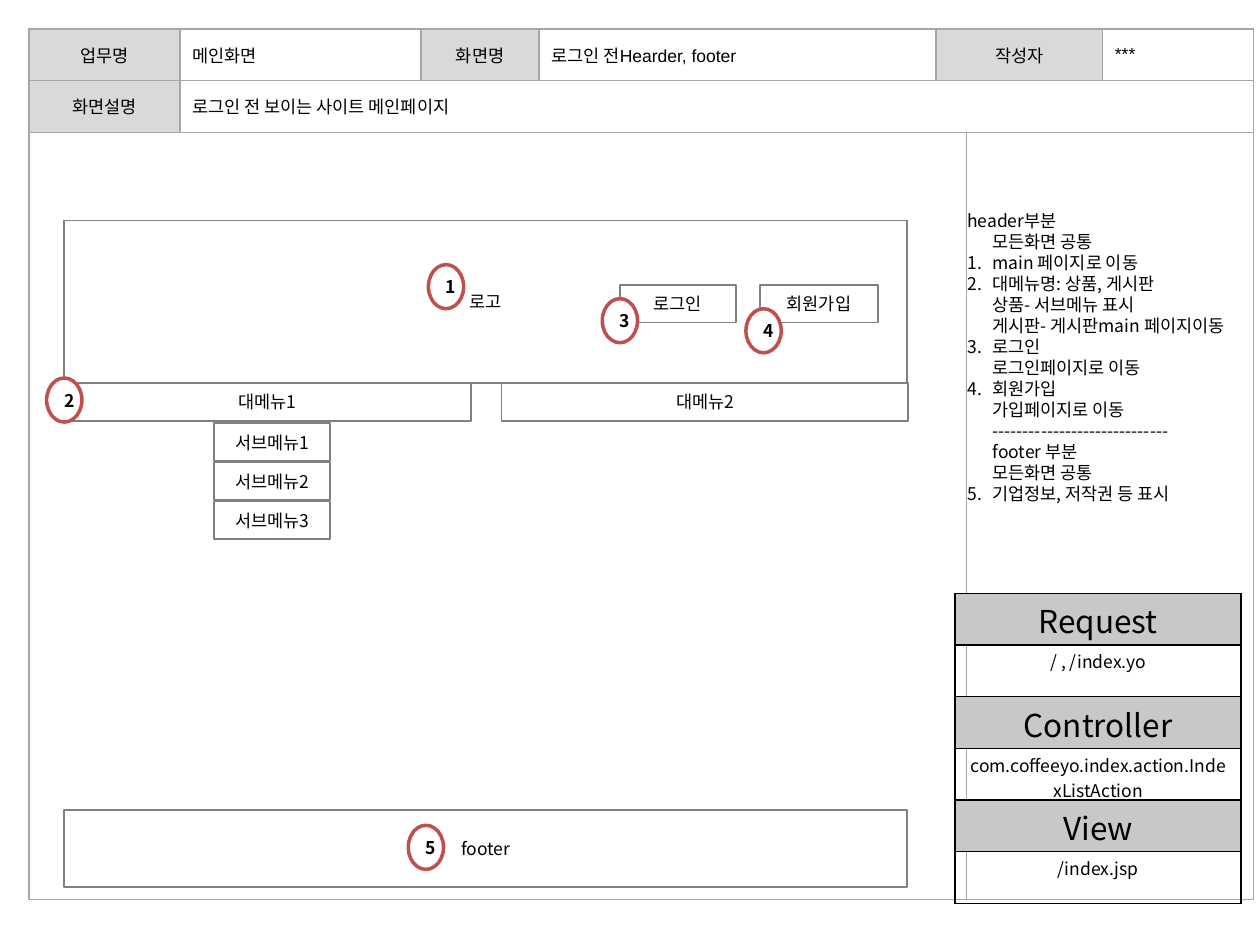
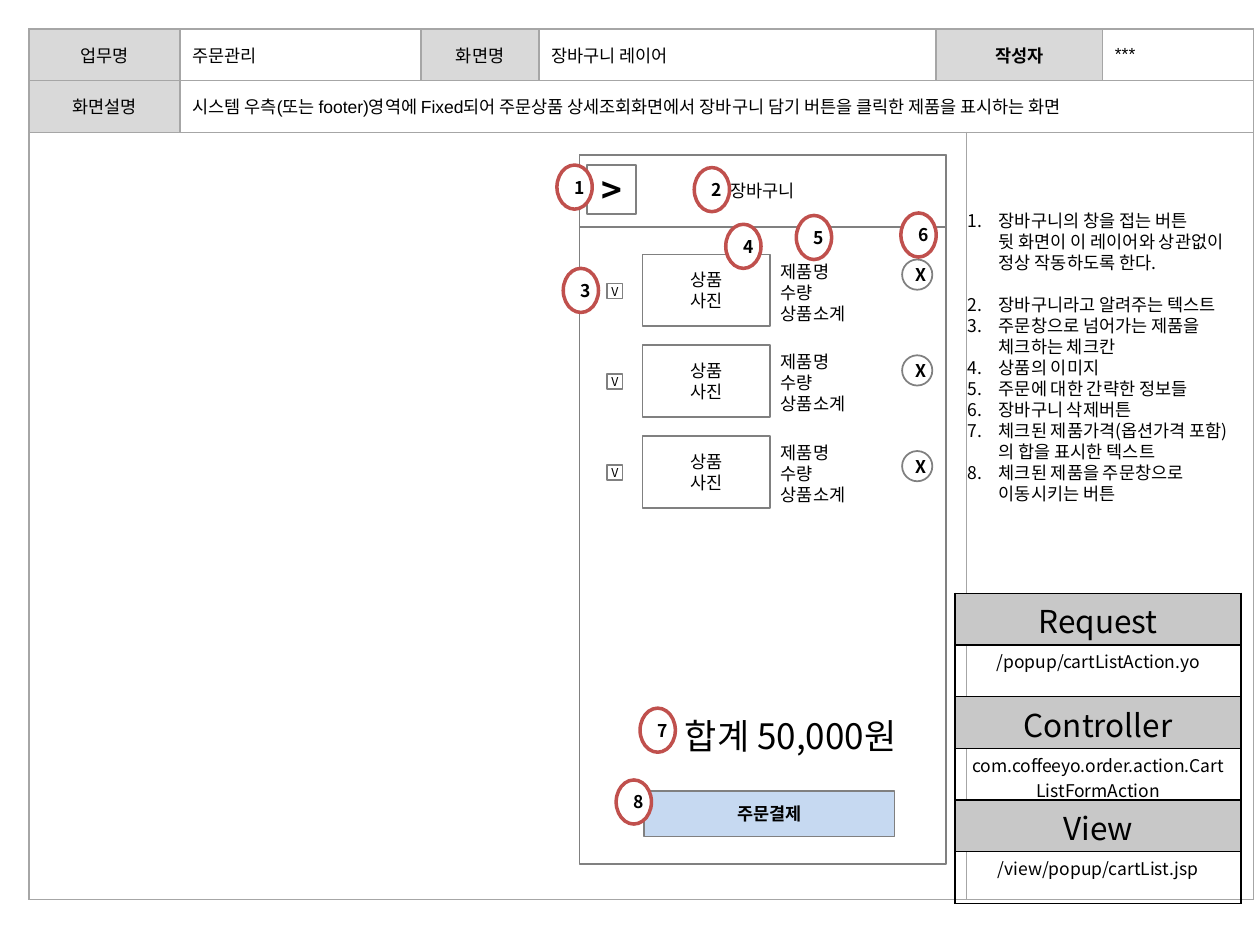
from dataclasses import dataclass

import lxml.etree
import pptx
import pptx.dml.color
import pptx.enum.shapes
import pptx.enum.text
import pptx.oxml.ns
import pptx.slide
import pptx.table
import pptx.text.text
import pptx.util

Inches = pptx.util.Inches
Shape = pptx.enum.shapes.MSO_SHAPE
Align = pptx.enum.text.PP_ALIGN
Anchor = pptx.enum.text.MSO_ANCHOR


@dataclass(frozen=True)
class Theme:
    font: str = "Noto Sans CJK KR"
    form_font: str = "Arial"
    ink: str = "000000"
    paper: str = "FFFFFF"
    outline: str = "808080"
    badge: str = "C0504D"
    button: str = "C6D9F1"
    form_label: str = "D9D9D9"
    form_border: str = "A6A6A6"
    route_label: str = "C8C8C8"
    tick: float = 7
    body: float = 10
    heading: float = 18
    large: float = 20
    leading: float = 1.2


@dataclass(frozen=True)
class Rect:
    left: float
    top: float
    width: float
    height: float

    def lengths(self) -> tuple:
        return tuple(Inches(v) for v in (self.left, self.top, self.width, self.height))


THEME = Theme()


@dataclass(frozen=True)
class Panel:
    rect: Rect
    text: str = ""
    size: float = THEME.body
    bold: bool = False
    fill: str = THEME.paper
    line: str = THEME.outline
    weight: float = 1
    kind: Shape = Shape.RECTANGLE


@dataclass(frozen=True)
class Note:
    text: str
    numbered: bool = True
    gap: float = 0


@dataclass(frozen=True)
class Badge:
    number: int
    left: float
    top: float


@dataclass(frozen=True)
class Screen:
    task: str
    name: str
    summary: str
    request: str
    controller: str
    view: str
    bold_author: bool = False


def rgb(value: str) -> pptx.dml.color.RGBColor:
    return pptx.dml.color.RGBColor.from_string(value)


# Text
def add_span(para: pptx.text.text._Paragraph, text: str, size: float,
             bold: bool = False, font: str = THEME.font) -> None:
    for index, line in enumerate(text.split("\n")):
        if index:
            para.add_line_break()
        span = para.add_run()
        span.text = line
        span.font.size = pptx.util.Pt(size)
        span.font.bold = bold
        span.font.name = font
        span.font.color.rgb = rgb(THEME.ink)
        east_asian = lxml.etree.SubElement(span.font._element, pptx.oxml.ns.qn("a:ea"))
        east_asian.set("typeface", THEME.font)


def next_para(frame: pptx.text.text.TextFrame, index: int,
              size: float) -> pptx.text.text._Paragraph:
    para = frame.add_paragraph() if index else frame.paragraphs[0]
    para.line_spacing = pptx.util.Pt(size * THEME.leading)
    return para


def set_indent(para: pptx.text.text._Paragraph, indent: float, numbered: bool) -> None:
    properties = para._p.get_or_add_pPr()
    properties.set("marL", str(Inches(indent)))
    properties.set("indent", str(-Inches(indent)))
    if numbered:
        bullet = lxml.etree.SubElement(properties, pptx.oxml.ns.qn("a:buAutoNum"))
        bullet.set("type", "arabicPeriod")


def add_notes(page: pptx.slide.Slide, rect: Rect, notes: list[Note], indent: float = 0.25,
              size: float = THEME.body, align: Align = Align.LEFT) -> None:
    box = page.shapes.add_textbox(*rect.lengths())
    box.text_frame.word_wrap = True
    for index, note in enumerate(notes):
        para = next_para(box.text_frame, index, size)
        para.alignment = align
        if note.gap:
            para.space_before = pptx.util.Pt(note.gap)
        set_indent(para, indent, note.numbered)
        add_span(para, note.text, size)


# Shapes
def add_panel(page: pptx.slide.Slide, panel: Panel) -> None:
    box = page.shapes.add_shape(panel.kind, *panel.rect.lengths())
    box.shadow.inherit = False
    box.fill.solid()
    box.fill.fore_color.rgb = rgb(panel.fill)
    box.line.color.rgb = rgb(panel.line)
    box.line.width = pptx.util.Pt(panel.weight)
    if panel.kind == Shape.ROUNDED_RECTANGLE:
        box.adjustments[0] = 0.5
    if not panel.text:
        return
    box.text_frame.vertical_anchor = Anchor.MIDDLE
    for index, line in enumerate(panel.text.split("\n")):
        para = next_para(box.text_frame, index, panel.size)
        para.alignment = Align.CENTER
        add_span(para, line, panel.size, panel.bold)


def add_badges(page: pptx.slide.Slide, badges: list[Badge]) -> None:
    for badge in badges:
        add_panel(page, Panel(Rect(badge.left, badge.top, 0.28, 0.35), str(badge.number),
                              bold=True, line=THEME.badge, weight=2, kind=Shape.OVAL))


# Tables
def set_borders(cell: pptx.table._Cell, color: str) -> None:
    properties = cell._tc.get_or_add_tcPr()
    for position, side in enumerate(("a:lnL", "a:lnR", "a:lnT", "a:lnB")):
        line = lxml.etree.Element(pptx.oxml.ns.qn(side), w=str(pptx.util.Pt(1)))
        fill = lxml.etree.SubElement(line, pptx.oxml.ns.qn("a:solidFill"))
        lxml.etree.SubElement(fill, pptx.oxml.ns.qn("a:srgbClr"), val=color)
        properties.insert(position, line)


def add_grid(page: pptx.slide.Slide, rect: Rect, columns: list[float],
             rows: list[float], border: str) -> pptx.table.Table:
    grid = page.shapes.add_table(len(rows), len(columns), *rect.lengths()).table
    grid.first_row = grid.horz_banding = False
    for column, width in zip(grid.columns, columns):
        column.width = Inches(width)
    for row, height in zip(grid.rows, rows):
        row.height = Inches(height)
    for cell in grid.iter_cells():
        cell.fill.background()
        set_borders(cell, border)
    return grid


def fill_cell(cell: pptx.table._Cell, color: str) -> None:
    cell.fill.solid()
    cell.fill.fore_color.rgb = rgb(color)


def add_form(page: pptx.slide.Slide, screen: Screen) -> None:
    grid = add_grid(page, Rect(0.23, 0.23, 9.61, 6.9),
                    [1.2, 1.91, 0.94, 3.15, 0.13, 1.08, 1.2],
                    [0.41, 0.41, 6.09], THEME.form_border)
    for row, first, last in ((0, 4, 5), (1, 1, 6), (2, 0, 4), (2, 5, 6)):
        grid.cell(row, first).merge(grid.cell(row, last))
    labels = {(0, 0): "업무명", (0, 2): "화면명", (0, 4): "작성자", (1, 0): "화면설명"}
    values = {(0, 1): screen.task, (0, 3): screen.name, (0, 6): "***", (1, 1): screen.summary}
    for place, text in (labels | values).items():
        cell = grid.cell(*place)
        cell.vertical_anchor = Anchor.MIDDLE
        para = cell.text_frame.paragraphs[0]
        if place in labels:
            fill_cell(cell, THEME.form_label)
            para.alignment = Align.CENTER
        bold = screen.bold_author and place == (0, 4)
        add_span(para, text, THEME.body, bold, THEME.form_font)
    for column in (0, 5):
        fill_cell(grid.cell(2, column), THEME.paper)


def add_route(page: pptx.slide.Slide, screen: Screen) -> None:
    lines = ["Request", screen.request, "Controller", screen.controller, "View", screen.view]
    grid = add_grid(page, Rect(7.58, 4.71, 2.27, 2.46), [2.27], [0.41] * len(lines), THEME.ink)
    for index, text in enumerate(lines):
        cell = grid.cell(index, 0)
        cell.margin_top, cell.margin_bottom = Inches(0.03), Inches(0)
        is_label = index % 2 == 0
        if is_label:
            fill_cell(cell, THEME.route_label)
        para = cell.text_frame.paragraphs[0]
        para.alignment = Align.CENTER
        add_span(para, text, THEME.heading if is_label else THEME.body)


def add_screen(deck: pptx.presentation.Presentation, screen: Screen) -> pptx.slide.Slide:
    page = deck.slides.add_slide(deck.slide_layouts[6])
    add_form(page, screen)
    return page


# Main page before login
def build_main_page(deck: pptx.presentation.Presentation) -> None:
    screen = Screen("메인화면", "로그인 전Hearder, footer", "로그인 전 보이는 사이트 메인페이지",
                    "/ , /index.yo", "com.coffeeyo.index.action.IndexListAction", "/index.jsp")
    page = add_screen(deck, screen)
    panels = [
        Panel(Rect(0.51, 6.43, 6.69, 0.61), "footer"),
        Panel(Rect(0.51, 1.75, 6.69, 1.29), "로고"),
        Panel(Rect(4.92, 2.26, 0.92, 0.3), "로그인"),
        Panel(Rect(6.03, 2.26, 0.94, 0.3), "회원가입"),
    ]
    panels += [Panel(Rect(0.51 + 3.47 * i, 3.04, 3.23, 0.3), f"대메뉴{i + 1}") for i in range(2)]
    panels += [Panel(Rect(1.7, 3.36 + 0.31 * i, 0.92, 0.3), f"서브메뉴{i + 1}") for i in range(3)]
    for panel in panels:
        add_panel(page, panel)
    add_notes(page, Rect(7.58, 1.62, 2.27, 2.96), [
        Note("header부분\n모든화면 공통", numbered=False),
        Note("main 페이지로 이동"),
        Note("대메뉴명: 상품, 게시판\n상품- 서브메뉴 표시\n게시판- 게시판main 페이지이동"),
        Note("로그인\n로그인페이지로 이동"),
        Note("회원가입\n가입페이지로 이동\n-----------------------------\n"
             "footer 부분\n모든화면 공통"),
        Note("기업정보, 저작권 등 표시"),
    ], indent=0.2)
    add_badges(page, [Badge(1, 3.4, 2.1), Badge(2, 0.37, 3), Badge(3, 4.78, 2.37),
                      Badge(4, 5.92, 2.45), Badge(5, 3.24, 6.55)])
    add_route(page, screen)


# Shopping cart layer
def add_cart_item(page: pptx.slide.Slide, index: int) -> None:
    top = 2.02 + 0.72 * index
    add_panel(page, Panel(Rect(5.1, top, 1.01, 0.57), "상품\n사진"))
    add_notes(page, Rect(6.1, top, 1.37, 0.59),
              [Note(text, numbered=False) for text in ("제품명", "수량", "상품소계")])
    add_panel(page, Panel(Rect(7.16, 2.06 + 0.76 * index, 0.24, 0.24), "X", bold=True,
                          kind=Shape.ROUNDED_RECTANGLE))
    add_panel(page, Panel(Rect(4.82, top + 0.23, 0.12, 0.12), "V", THEME.tick))


def build_cart_page(deck: pptx.presentation.Presentation) -> None:
    screen = Screen("주문관리", "장바구니 레이어",
                    "시스템 우측(또는 footer)영역에 Fixed되어 주문상품 상세조회화면에서 "
                    "장바구니 담기 버튼을 클릭한 제품을 표시하는 화면",
                    "/popup/cartListAction.yo", "com.coffeeyo.order.action.CartListFormAction",
                    "/view/popup/cartList.jsp", bold_author=True)
    page = add_screen(deck, screen)
    add_notes(page, Rect(7.58, 1.62, 2.27, 2.6), [
        Note("장바구니의 창을 접는 버튼\n뒷 화면이 이 레이어와 상관없이 정상 작동하도록 한다."),
        Note("장바구니라고 알려주는 텍스트", gap=THEME.body * THEME.leading),
        Note("주문창으로 넘어가는 제품을 체크하는 체크칸"),
        Note("상품의 이미지"),
        Note("주문에 대한 간략한 정보들"),
        Note("장바구니 삭제버튼"),
        Note("체크된 제품가격(옵션가격 포함)의 합을 표시한 텍스트"),
        Note("체크된 제품을 주문창으로 이동시키는 버튼"),
    ])
    for panel in (
        Panel(Rect(4.6, 1.23, 2.91, 5.63)),
        Panel(Rect(4.6, 1.23, 2.91, 0.57), "장바구니"),
        Panel(Rect(4.66, 1.31, 0.39, 0.39), ">", THEME.large, bold=True),
        Panel(Rect(5.11, 6.28, 1.99, 0.36), "주문결제", bold=True, fill=THEME.button),
    ):
        add_panel(page, panel)
    for index in range(3):
        add_cart_item(page, index)
    add_notes(page, Rect(5.14, 5.62, 2.27, 0.44), [Note("합계 50,000원", numbered=False)],
              size=THEME.large, align=Align.CENTER)
    add_badges(page, [Badge(1, 4.42, 1.31), Badge(2, 5.51, 1.33), Badge(3, 4.47, 2.13),
                      Badge(4, 5.76, 1.78), Badge(5, 6.32, 1.71), Badge(6, 7.15, 1.69),
                      Badge(7, 5.08, 5.62), Badge(8, 4.89, 6.19)])
    add_route(page, screen)


def main() -> None:
    deck = pptx.Presentation()
    deck.slide_width, deck.slide_height = Inches(10), Inches(7.5)
    build_main_page(deck)
    build_cart_page(deck)
    deck.save("out.pptx")


if __name__ == "__main__":
    main()
